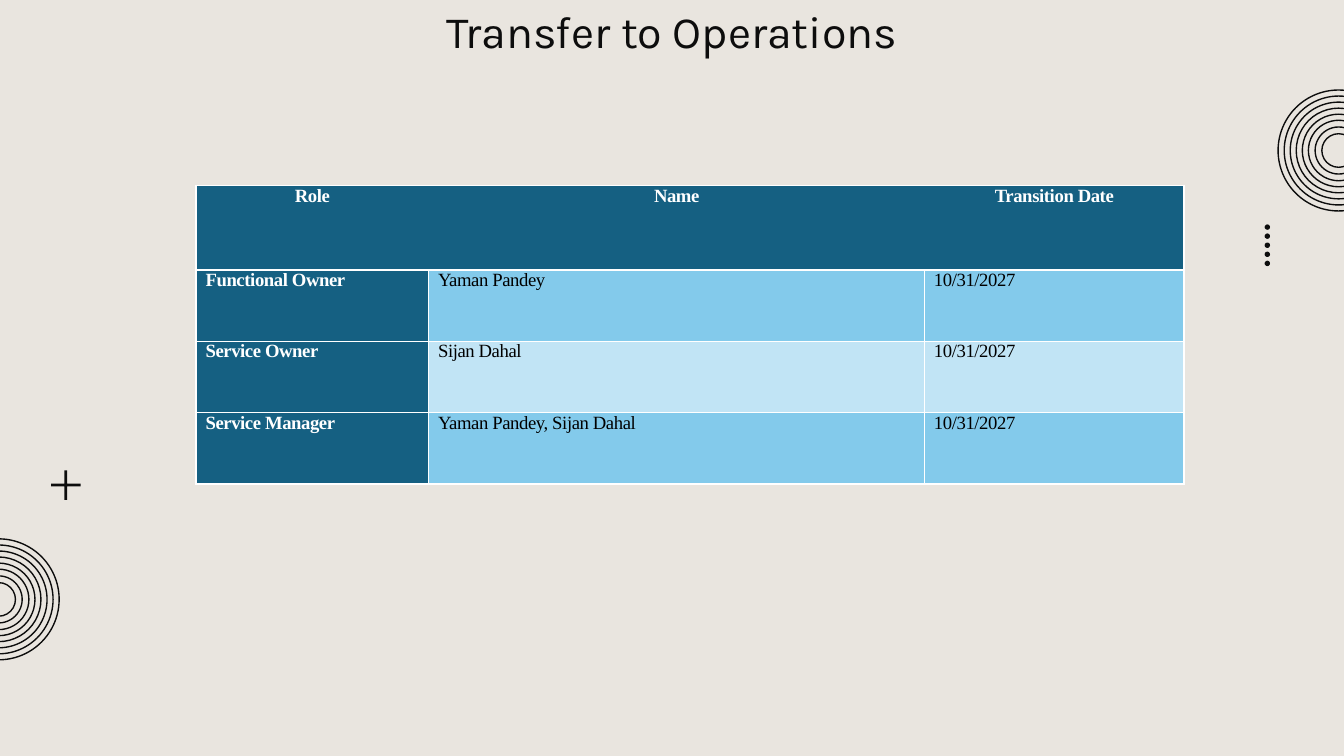
from lxml import etree
from pptx import Presentation
from pptx.dml.color import RGBColor
from pptx.enum import shapes, text
from pptx.oxml.ns import qn
from pptx.util import Inches, Pt

INK, PAPER, WHITE, BLACK = "0D0D0D", "E9E5DF", "FFFFFF", "000000"
NAVY, SKY, PALE = "156082", "83CAEB", "C1E4F5"

RING_SIZES = [0.9, 0.81, 0.72, 0.63, 0.54, 0.45, 0.35, 0.25]
COLUMN_WIDTHS = [1.73, 3.69, 1.93]
ROW_HEIGHTS = [0.63, 0.53, 0.53, 0.53]
ROWS = [
    ["Role", "Name", "Transition Date"],
    ["Functional Owner", "Yaman Pandey", "10/31/2027"],
    ["Service Owner", "Sijan Dahal", "10/31/2027"],
    ["Service Manager", "Yaman Pandey, Sijan Dahal", "10/31/2027"],
]


def color(hex_string):
    return RGBColor.from_string(hex_string)


def add_ornament(slide, kind, left, top, width, height, fill=None, line=None):
    shape = slide.shapes.add_shape(
        kind, Inches(left), Inches(top), Inches(width), Inches(height))
    shape.shadow.inherit = False
    if fill:
        shape.fill.solid()
        shape.fill.fore_color.rgb = color(fill)
    else:
        shape.fill.background()
    if line:
        shape.line.color.rgb = color(line)
        shape.line.width = Pt(0.75)
    else:
        shape.line.fill.background()
    return shape


def add_rings(slide, center_x, center_y):
    for size in RING_SIZES:
        add_ornament(slide, shapes.MSO_SHAPE.OVAL, center_x - size / 2,
                     center_y - size / 2, size, size, line=INK)


def add_dots(slide, left, top, height, size=0.04, count=5):
    pitch = (height - size) / (count - 1)
    for index in range(count):
        add_ornament(slide, shapes.MSO_SHAPE.OVAL, left, top + index * pitch,
                     size, size, fill=INK)


def add_plus(slide, left, top, size):
    plus = add_ornament(slide, shapes.MSO_SHAPE.MATH_PLUS, left, top,
                        size, size, fill=INK)
    plus.adjustments[0] = 0.07


def fill_title(slide, left, top, width, height):
    title = slide.shapes.title
    title.left, title.top = Inches(left), Inches(top)
    title.width, title.height = Inches(width), Inches(height)
    frame = title.text_frame
    frame.text = "Transfer to Operations"
    frame.word_wrap = True
    frame.auto_size = text.MSO_AUTO_SIZE.NONE
    frame.vertical_anchor = text.MSO_ANCHOR.TOP
    frame.margin_left = frame.margin_right = Inches(0.1)
    frame.margin_top = frame.margin_bottom = Inches(0.1)
    paragraph = frame.paragraphs[0]
    paragraph.alignment = text.PP_ALIGN.CENTER
    paragraph.font.name = "Karla"
    paragraph.font.size = Pt(24)
    paragraph.font.color.rgb = color(INK)


def set_borders(cell, hidden_sides):
    properties = cell._tc.get_or_add_tcPr()
    for side in "LRTB":
        line = etree.SubElement(properties, qn(f"a:ln{side}"), w=str(Pt(1)))
        if side in hidden_sides:
            etree.SubElement(line, qn("a:noFill"))
        else:
            fill = etree.SubElement(line, qn("a:solidFill"))
            etree.SubElement(fill, qn("a:srgbClr"), val=WHITE)


def fill_cell(cell, wording, background, font_color, bold, alignment, hidden_sides):
    set_borders(cell, hidden_sides)
    cell.fill.solid()
    cell.fill.fore_color.rgb = color(background)
    cell.margin_left = cell.margin_right = Inches(0.07)
    cell.margin_top = cell.margin_bottom = 0
    cell.text = wording
    paragraph = cell.text_frame.paragraphs[0]
    paragraph.alignment = alignment
    paragraph.space_after = Pt(6)
    paragraph.font.name = "Times New Roman"
    paragraph.font.size = Pt(10)
    paragraph.font.bold = bold
    paragraph.font.color.rgb = color(font_color)
    # Slightly tightened letter spacing
    paragraph.runs[0]._r.get_or_add_rPr().set("spc", "-20")


def add_owner_table(slide, left, top):
    table = slide.shapes.add_table(
        len(ROWS), len(COLUMN_WIDTHS), Inches(left), Inches(top),
        Inches(sum(COLUMN_WIDTHS)), Inches(sum(ROW_HEIGHTS))).table
    table.first_row = table.horz_banding = False
    for column, width in zip(table.columns, COLUMN_WIDTHS):
        column.width = Inches(width)
    for row, height in zip(table.rows, ROW_HEIGHTS):
        row.height = Inches(height)

    last_column = len(COLUMN_WIDTHS) - 1
    for row_index, row in enumerate(ROWS):
        for column_index, wording in enumerate(row):
            is_header = row_index == 0
            is_label = is_header or column_index == 0
            band = SKY if row_index % 2 else PALE
            # The header row has no lines between its cells
            hidden_sides = ""
            if is_header:
                hidden_sides += "L" if column_index > 0 else ""
                hidden_sides += "R" if column_index < last_column else ""
            fill_cell(
                table.cell(row_index, column_index), wording,
                background=NAVY if is_label else band,
                font_color=WHITE if is_label else BLACK,
                bold=is_label,
                alignment=text.PP_ALIGN.CENTER if is_header else text.PP_ALIGN.LEFT,
                hidden_sides=hidden_sides)


def main():
    presentation = Presentation()
    # Widescreen, 16:9
    presentation.slide_width = Inches(10)
    presentation.slide_height = Inches(10) * 9 // 16
    slide = presentation.slides.add_slide(presentation.slide_layouts[5])
    slide.background.fill.solid()
    slide.background.fill.fore_color.rgb = color(PAPER)

    # Ornaments at the edges
    add_dots(slide, 9.41, 1.67, 0.31)
    add_rings(slide, 9.96, 1.12)
    add_rings(slide, -0.01, 4.46)
    add_plus(slide, 0.34, 3.46, 0.3)

    # Title and table
    fill_title(slide, 0.78, -0.07, 8.44, 0.63)
    add_owner_table(slide, 1.46, 1.38)

    presentation.save("out.pptx")


if __name__ == "__main__":
    main()
